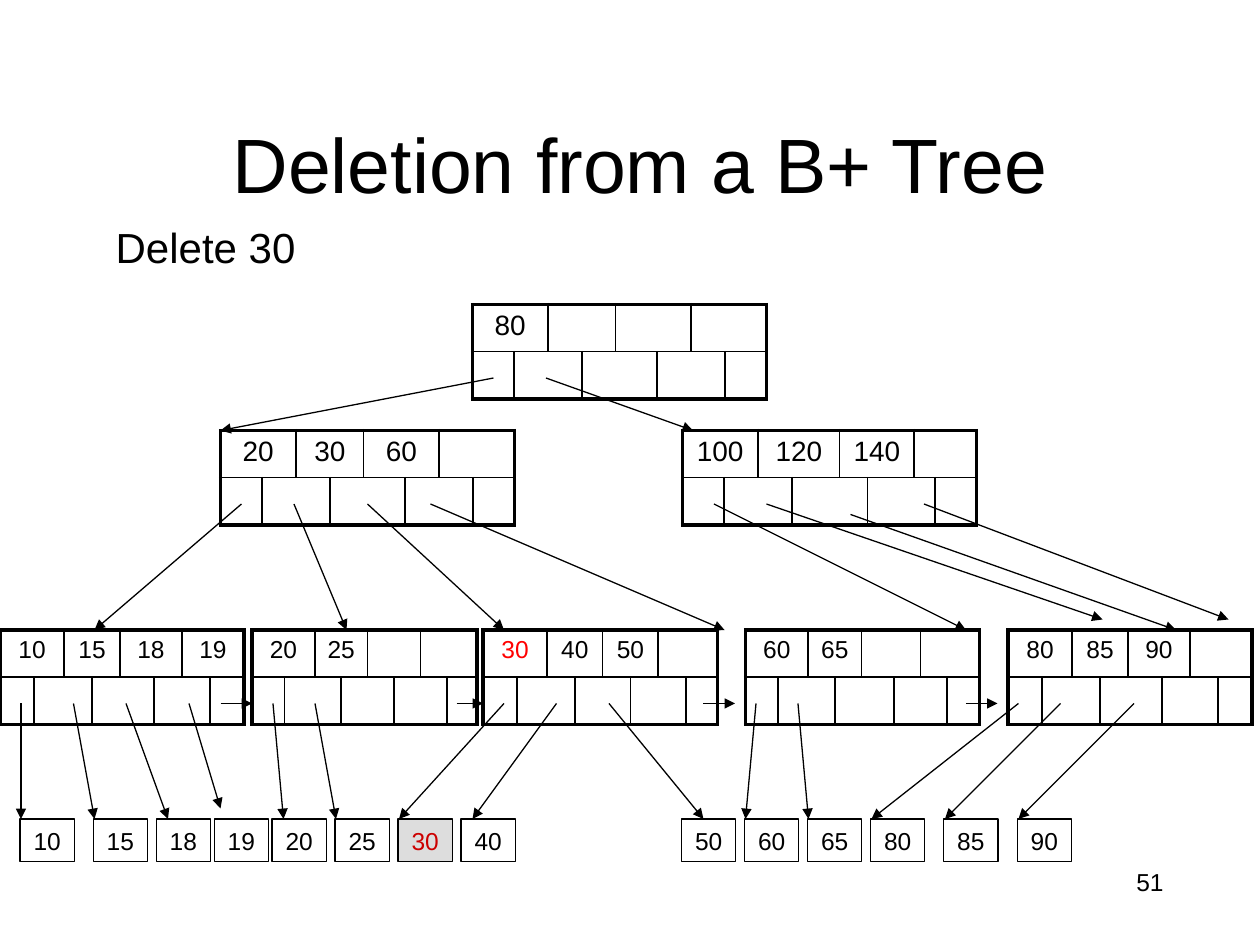
from dataclasses import dataclass

from lxml import etree
from pptx import Presentation
from pptx.dml.color import RGBColor
from pptx.enum import shapes, text
from pptx.oxml import ns
from pptx.util import Pt


@dataclass(frozen=True)
class Theme:
    font: str = "Arial"
    ink: RGBColor = RGBColor(0, 0, 0)
    deleted_key: RGBColor = RGBColor(0xFF, 0, 0)
    deleted_record: RGBColor = RGBColor(0xCC, 0, 0)
    deleted_fill: RGBColor = RGBColor(0xDD, 0xDD, 0xDD)
    title: float = 44
    subtitle: float = 24
    inner_key: float = 16
    small: float = 14
    outer_border: float = 2.25
    inner_border: float = 1
    line: float = 0.75


@dataclass(frozen=True)
class Node:
    left: float
    top: float
    keys: tuple[str, ...]
    columns: tuple[float, ...]
    size: float


@dataclass(frozen=True)
class Record:
    left: float
    key: str


@dataclass(frozen=True)
class Arrow:
    x1: float
    y1: float
    x2: float
    y2: float


THEME = Theme()
DELETED = "30"
ROW_HEIGHT = 27
LEAF_TOP, POINTER_Y, RECORD_TOP = 360, 402, 468
RECORD_WIDTH, RECORD_HEIGHT = 31, 24.5

# Keys and pointers are staggered over the same eight columns
KEY_SPANS = ((0, 1), (2, 3), (4, 5), (6, 7))
POINTER_SPANS = ((0, 0), (1, 2), (3, 4), (5, 6), (7, 7))


def columns(wide: float, narrow: float) -> tuple[float, ...]:
    return (wide, narrow, narrow, narrow, wide, narrow, narrow, wide)


INNER_COLUMNS = columns(23.67, 19.4)
FULL_LEAF_COLUMNS = columns(19.4, 16)

NODES = (
    Node(270, 174, ("80",), INNER_COLUMNS, THEME.inner_key),
    Node(126, 246, ("20", "30", "60"), INNER_COLUMNS, THEME.inner_key),
    Node(390, 246, ("100", "120", "140"),
         (23.7, 19.4, 19.4, 27.4, 15.8, 26.6, 12.2, 23.7), THEME.inner_key),
    Node(0, LEAF_TOP, ("10", "15", "18", "19"), FULL_LEAF_COLUMNS, THEME.small),
    Node(144, LEAF_TOP, ("20", "25"), (18.7, *[15.1] * 6, 17.3), THEME.small),
    Node(276, LEAF_TOP, ("30", "40", "50"), (19.4, *[15.9] * 6, 18), THEME.small),
    Node(426, LEAF_TOP, ("60", "65"), columns(18.6, 15.2), THEME.small),
    Node(576, LEAF_TOP, ("80", "85", "90"), FULL_LEAF_COLUMNS, THEME.small),
)

RECORDS = tuple(Record(left, key) for left, key in (
    (11.5, "10"), (53.3, "15"), (89.3, "18"), (122.4, "19"), (155.5, "20"),
    (191.5, "25"), (227.5, "30"), (263.5, "40"), (389.5, "50"), (425.5, "60"),
    (461.5, "65"), (497.5, "80"), (539.3, "85"), (581.3, "90")))

CHILD_ARROWS = (
    Arrow(282, 216, 126, 246), Arrow(312, 216, 396, 246),
    Arrow(138, 288, 54, 360), Arrow(168, 288, 198, 360),
    Arrow(210, 288, 288, 360), Arrow(246, 288, 414, 360),
    Arrow(408, 288, 552, 360), Arrow(438, 288, 630, 354),
    Arrow(486, 294, 672, 360), Arrow(528, 288, 702, 354),
)
LEAF_LINKS = tuple(Arrow(x1, POINTER_Y, x2, POINTER_Y) for x1, x2 in (
    (126, 144), (261, 276), (402, 420), (552, 570)))
RECORD_ARROWS = tuple(Arrow(x1, POINTER_Y, x2, RECORD_TOP) for x1, x2 in (
    (12, 12), (42, 54), (72, 96), (156, 162), (180, 192), (288, 228),
    (318, 270), (348, 402), (432, 426), (456, 462), (582, 498), (606, 540),
    (648, 582))) + (Arrow(108, POINTER_Y, 126, 462),)


def write(frame, words: str, size: float, align, color: RGBColor = THEME.ink) -> None:
    frame.text = words
    paragraph = frame.paragraphs[0]
    paragraph.alignment = align
    for run in paragraph.runs:
        run.font.name, run.font.size = THEME.font, Pt(size)
        run.font.color.rgb = color


def add_label(slide, box: tuple[float, ...], words: str, size: float, align,
              anchor=text.MSO_ANCHOR.TOP, wrap: bool = True) -> None:
    frame = slide.shapes.add_textbox(*map(Pt, box)).text_frame
    frame.word_wrap = wrap
    frame.vertical_anchor = anchor
    write(frame, words, size, align)


def set_borders(cell, **widths: float) -> None:
    properties = cell._tc.get_or_add_tcPr()
    for position, (side, width) in enumerate(widths.items()):
        line = etree.Element(ns.qn(f"a:ln{side}"), w=str(Pt(width)))
        fill = etree.SubElement(line, ns.qn("a:solidFill"))
        etree.SubElement(fill, ns.qn("a:srgbClr"), val=str(THEME.ink))
        properties.insert(position, line)


def add_node(slide, node: Node) -> None:
    table = slide.shapes.add_table(
        2, len(node.columns), Pt(node.left), Pt(node.top),
        Pt(sum(node.columns)), Pt(2 * ROW_HEIGHT)).table
    table.first_row = table.horz_banding = False
    for column, width in zip(table.columns, node.columns):
        column.width = Pt(width)
    outer, inner = THEME.outer_border, THEME.inner_border
    last = len(node.columns) - 1

    for row, spans in enumerate((KEY_SPANS, POINTER_SPANS)):
        for start, end in spans:
            for index in range(start, end + 1):
                cell = table.cell(row, index)
                cell.fill.background()
                set_borders(cell, L=outer if start == 0 else inner,
                            R=outer if end == last else inner,
                            T=outer if row == 0 else inner,
                            B=outer if row == 1 else inner)
                # Small empty text keeps the row height
                etree.SubElement(cell.text_frame.paragraphs[0]._p,
                                 ns.qn("a:endParaRPr"), sz=str(int(node.size * 100)))
            if end > start:
                table.cell(row, start).merge(table.cell(row, end))

    for key, (start, _) in zip(node.keys, KEY_SPANS):
        deleted = key == DELETED and node.top == LEAF_TOP
        write(table.cell(0, start).text_frame, key, node.size, text.PP_ALIGN.CENTER,
              THEME.deleted_key if deleted else THEME.ink)


def add_record(slide, record: Record) -> None:
    box = slide.shapes.add_shape(
        shapes.MSO_SHAPE.RECTANGLE, Pt(record.left), Pt(RECORD_TOP),
        Pt(RECORD_WIDTH), Pt(RECORD_HEIGHT))
    box.shadow.inherit = False
    box.line.color.rgb, box.line.width = THEME.ink, Pt(THEME.line)
    deleted = record.key == DELETED
    if deleted:
        box.fill.solid()
        box.fill.fore_color.rgb = THEME.deleted_fill
    else:
        box.fill.background()
    box.text_frame.word_wrap = False
    box.text_frame.vertical_anchor = text.MSO_ANCHOR.MIDDLE
    write(box.text_frame, record.key, THEME.small, text.PP_ALIGN.CENTER,
          THEME.deleted_record if deleted else THEME.ink)


def add_arrow(slide, arrow: Arrow) -> None:
    connector = slide.shapes.add_connector(
        shapes.MSO_CONNECTOR.STRAIGHT, Pt(arrow.x1), Pt(arrow.y1),
        Pt(arrow.x2), Pt(arrow.y2))
    connector.line.color.rgb, connector.line.width = THEME.ink, Pt(THEME.line)
    etree.SubElement(connector.line._get_or_add_ln(), ns.qn("a:tailEnd"), type="triangle")
    etree.SubElement(connector._element.spPr, ns.qn("a:effectLst"))


def main() -> None:
    deck = Presentation()
    deck.slide_width, deck.slide_height = Pt(720), Pt(540)
    slide = deck.slides.add_slide(deck.slide_layouts[6])

    # Headings and page number
    add_label(slide, (60, 48, 612, 90), "Deletion from a B+ Tree", THEME.title,
              text.PP_ALIGN.CENTER, text.MSO_ANCHOR.MIDDLE)
    add_label(slide, (59, 123, 117.5, 36), "Delete 30", THEME.subtitle,
              text.PP_ALIGN.LEFT, wrap=False)
    add_label(slide, (522, 492, 150, 36), "51", THEME.small, text.PP_ALIGN.RIGHT)

    # Tree nodes, records and pointers
    for node in NODES:
        add_node(slide, node)
    for record in RECORDS:
        add_record(slide, record)
    for arrow in CHILD_ARROWS + LEAF_LINKS + RECORD_ARROWS:
        add_arrow(slide, arrow)

    deck.save("out.pptx")


if __name__ == "__main__":
    main()
